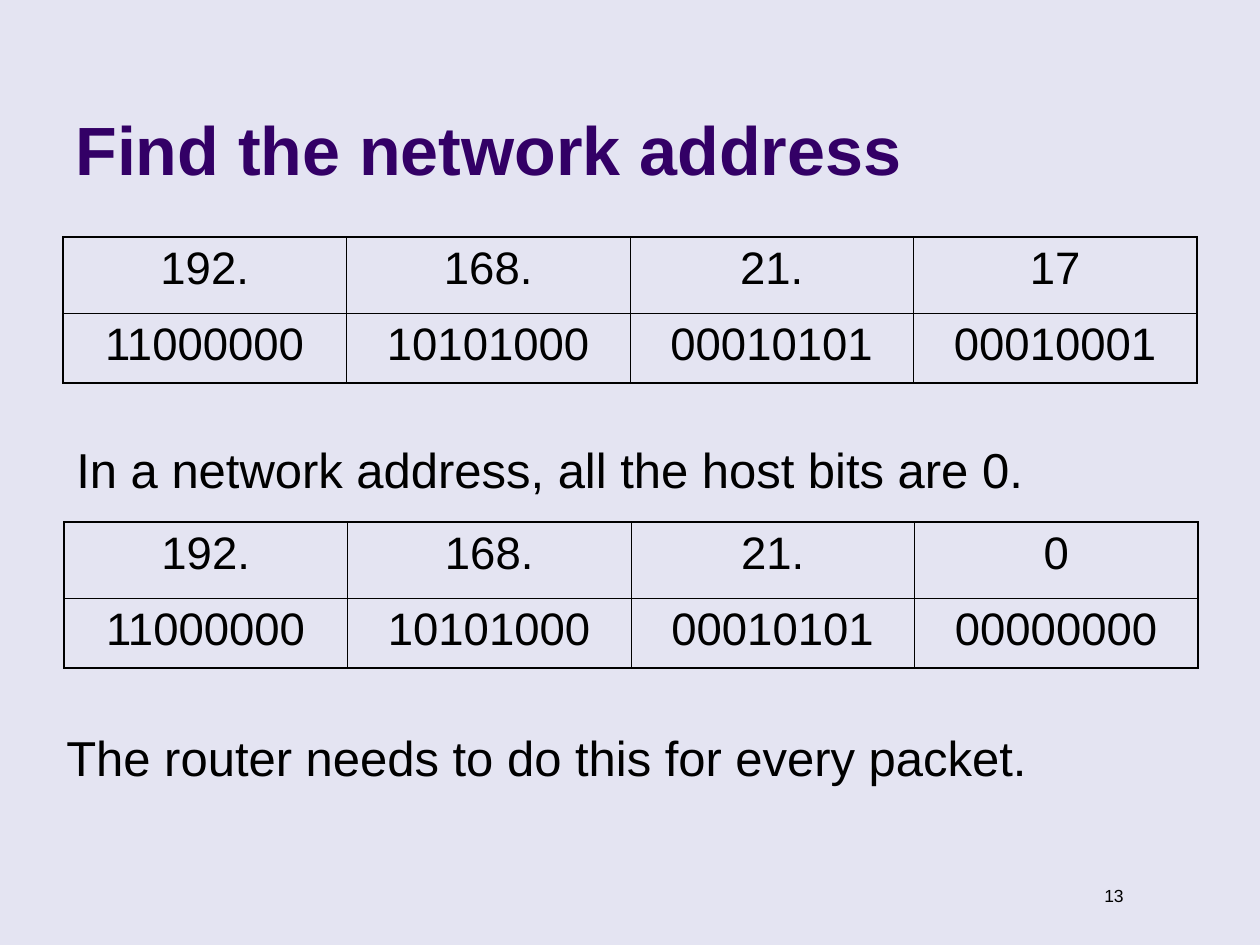
from lxml.etree import SubElement
from pptx import Presentation
from pptx.dml.color import RGBColor
from pptx.enum.text import MSO_ANCHOR, PP_ALIGN
from pptx.oxml.ns import qn
from pptx.util import Pt

PX = 914400 / 126
COLORS = {"background": "E4E4F2", "title": "330066", "text": "000000"}
FONT = "Arial"
THICK, THIN = 1.08, 0.45
ROW_HEIGHTS = (76, 70)


def emu(px):
    return round(px * PX)


def write(p, text, size, color="text", bold=False, align=PP_ALIGN.LEFT):
    p.alignment = align
    r = p.add_run()
    r.text = text
    r.font.name = FONT
    r.font.size = Pt(size)
    r.font.bold = bold
    r.font.color.rgb = RGBColor.from_string(COLORS[color])


def add_text(s, box, text, size, anchor=MSO_ANCHOR.TOP, **style):
    tf = s.shapes.add_textbox(*map(emu, box)).text_frame
    tf.word_wrap = True
    tf.vertical_anchor = anchor
    write(tf.paragraphs[0], text, size, **style)


def set_borders(cell, widths):
    """Draw the borders, given in points by side; they must precede the fill."""
    tc_pr = cell.fill._xPr
    for i, side in enumerate(("L", "R", "T", "B")):
        ln = SubElement(tc_pr, qn(f"a:ln{side}"), w=str(Pt(widths[side])))
        fill = SubElement(ln, qn("a:solidFill"))
        SubElement(fill, qn("a:srgbClr"), val=COLORS["text"])
        tc_pr.insert(i, ln)


def add_address_table(s, x, y, width, rows):
    """Show an address in decimal above binary, one column for each octet."""
    n_rows, n_cols = len(rows), len(rows[0])
    frame = s.shapes.add_table(n_rows, n_cols, emu(x), emu(y),
                               emu(width), emu(sum(ROW_HEIGHTS)))
    table = frame.table
    table.first_row = table.horz_banding = False
    for column in table.columns:
        column.width = emu(width / n_cols)
    for i, values in enumerate(rows):
        table.rows[i].height = emu(ROW_HEIGHTS[i])
        for j, value in enumerate(values):
            cell = table.cell(i, j)
            cell.fill.background()
            write(cell.text_frame.paragraphs[0], value, 26,
                  align=PP_ALIGN.CENTER)
            outer = {"L": j == 0, "R": j == n_cols - 1,
                     "T": i == 0, "B": i == n_rows - 1}
            set_borders(cell, {side: THICK if edge else THIN
                               for side, edge in outer.items()})


def main():
    prs = Presentation()
    prs.slide_width, prs.slide_height = emu(1260), emu(945)
    s = prs.slides.add_slide(prs.slide_layouts[6])
    s.background.fill.solid()
    s.background.fill.fore_color.rgb = RGBColor.from_string(COLORS["background"])

    add_text(s, (1057, 879, 79, 34), "13", 10, align=PP_ALIGN.RIGHT)
    add_text(s, (63, 16, 1040, 179), "Find the network address", 39,
             anchor=MSO_ANCHOR.BOTTOM, color="title", bold=True)
    add_address_table(s, 63, 237, 1134, [
        ("192.", "168.", "21.", "17"),
        ("11000000", "10101000", "00010101", "00010001")])
    add_text(s, (64, 433, 1111, 72),
             "In a network address, all the host bits are 0.", 28)
    add_address_table(s, 64, 522, 1134, [
        ("192.", "168.", "21.", "0"),
        ("11000000", "10101000", "00010101", "00000000")])
    add_text(s, (54, 721, 1111, 72),
             "The router needs to do this for every packet.", 28)
    prs.save("out.pptx")


if __name__ == "__main__":
    main()
